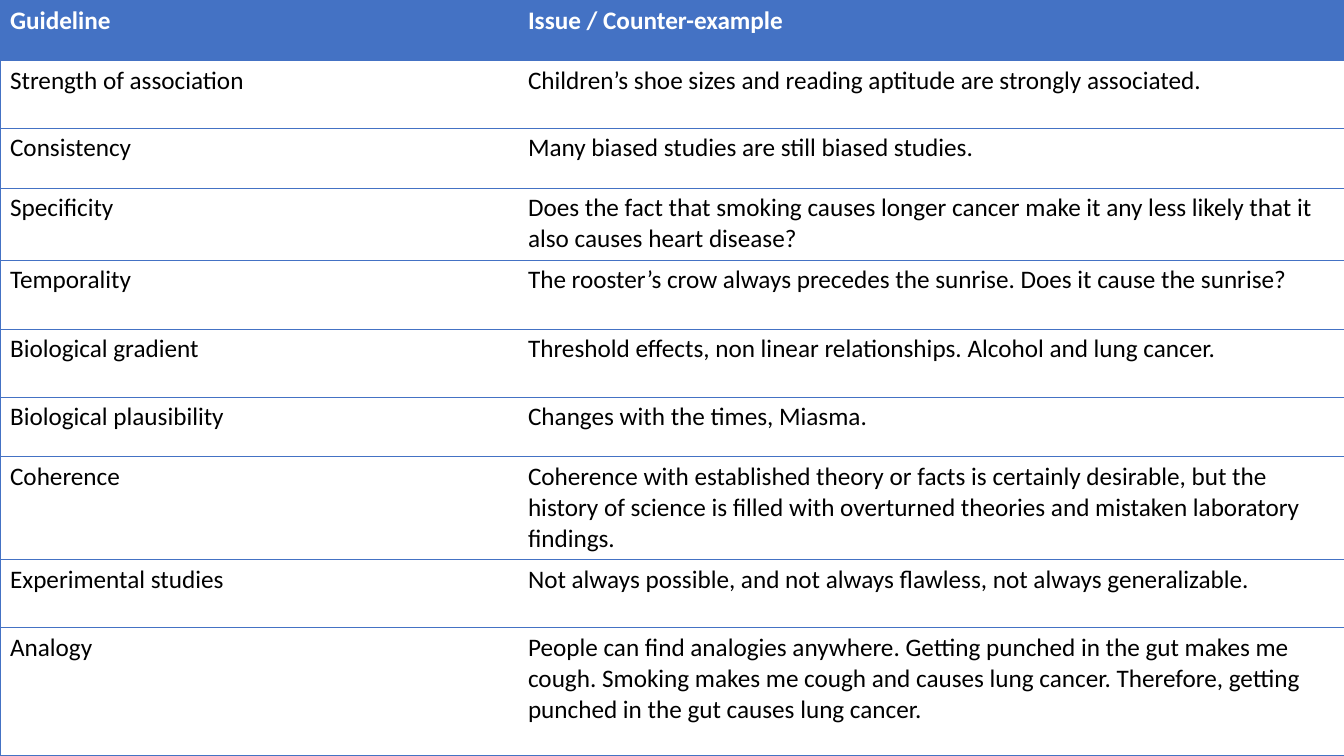
from dataclasses import dataclass

import lxml.etree
import pptx
import pptx.dml.color
import pptx.oxml.ns
import pptx.table
import pptx.util

EMU_PER_PX = 914400 / 100.8
WIDTH, HEIGHT = 1344, 756
COLUMN_WIDTHS = (518, 826)
BLUE, WHITE, BLACK = "4472C4", "FFFFFF", "000000"


@dataclass(frozen=True)
class Row:
    height: int
    guideline: str
    issue: str


ROWS = (
    Row(60, "Guideline", "Issue / Counter-example"),
    Row(68, "Strength of association",
        "Children’s shoe sizes and reading aptitude are strongly associated."),
    Row(60, "Consistency", "Many biased studies are still biased studies."),
    Row(72, "Specificity",
        "Does the fact that smoking causes longer cancer make it any less "
        "likely that it also causes heart disease?"),
    Row(69, "Temporality",
        "The rooster’s crow always precedes the sunrise. Does it cause the sunrise?"),
    Row(68, "Biological gradient",
        "Threshold effects, non linear relationships. Alcohol and lung cancer."),
    Row(60, "Biological plausibility", "Changes with the times, Miasma."),
    Row(103, "Coherence",
        "Coherence with established theory or facts is certainly desirable, but "
        "the history of science is filled with overturned theories and mistaken "
        "laboratory findings."),
    Row(68, "Experimental studies",
        "Not always possible, and not always flawless, not always generalizable."),
    Row(128, "Analogy",
        "People can find analogies anywhere. Getting punched in the gut makes me "
        "cough. Smoking makes me cough and causes lung cancer. Therefore, getting "
        "punched in the gut causes lung cancer."),
)


def px(n: int) -> pptx.util.Emu:
    return pptx.util.Emu(round(n * EMU_PER_PX))


def rgb(value: str) -> pptx.dml.color.RGBColor:
    return pptx.dml.color.RGBColor.from_string(value)


def set_borders(cell: pptx.table._Cell, hidden: str) -> None:
    """Draw thin blue borders on every side but the hidden one."""
    qn = pptx.oxml.ns.qn
    tc_pr = cell._tc.get_or_add_tcPr()
    for i, side in enumerate("LRTB"):
        ln = lxml.etree.Element(qn(f"a:ln{side}"), w=str(pptx.util.Pt(0.5)))
        if side == hidden:
            lxml.etree.SubElement(ln, qn("a:noFill"))
        else:
            fill = lxml.etree.SubElement(ln, qn("a:solidFill"))
            lxml.etree.SubElement(fill, qn("a:srgbClr"), val=BLUE)
        tc_pr.insert(i, ln)


def fill_cell(cell: pptx.table._Cell, text: str, header: bool, hidden: str) -> None:
    cell.text = text
    font = cell.text_frame.paragraphs[0].font
    font.name = "Calibri"
    font.size = pptx.util.Pt(18)
    font.bold = header
    font.color.rgb = rgb(WHITE if header else BLACK)
    cell.fill.solid()
    cell.fill.fore_color.rgb = rgb(BLUE if header else WHITE)
    set_borders(cell, hidden)


def add_guideline_table(slide: pptx.slide.Slide) -> None:
    table = slide.shapes.add_table(
        len(ROWS), len(COLUMN_WIDTHS), 0, 0, px(WIDTH), px(HEIGHT)).table
    table.horz_banding = False
    for column, width in zip(table.columns, COLUMN_WIDTHS):
        column.width = px(width)
    for i, row in enumerate(ROWS):
        table.rows[i].height = px(row.height)
        fill_cell(table.cell(i, 0), row.guideline, i == 0, hidden="R")
        fill_cell(table.cell(i, 1), row.issue, i == 0, hidden="L")


def main() -> None:
    prs = pptx.Presentation()
    prs.slide_width, prs.slide_height = px(WIDTH), px(HEIGHT)
    add_guideline_table(prs.slides.add_slide(prs.slide_layouts[6]))
    prs.save("out.pptx")


if __name__ == "__main__":
    main()
